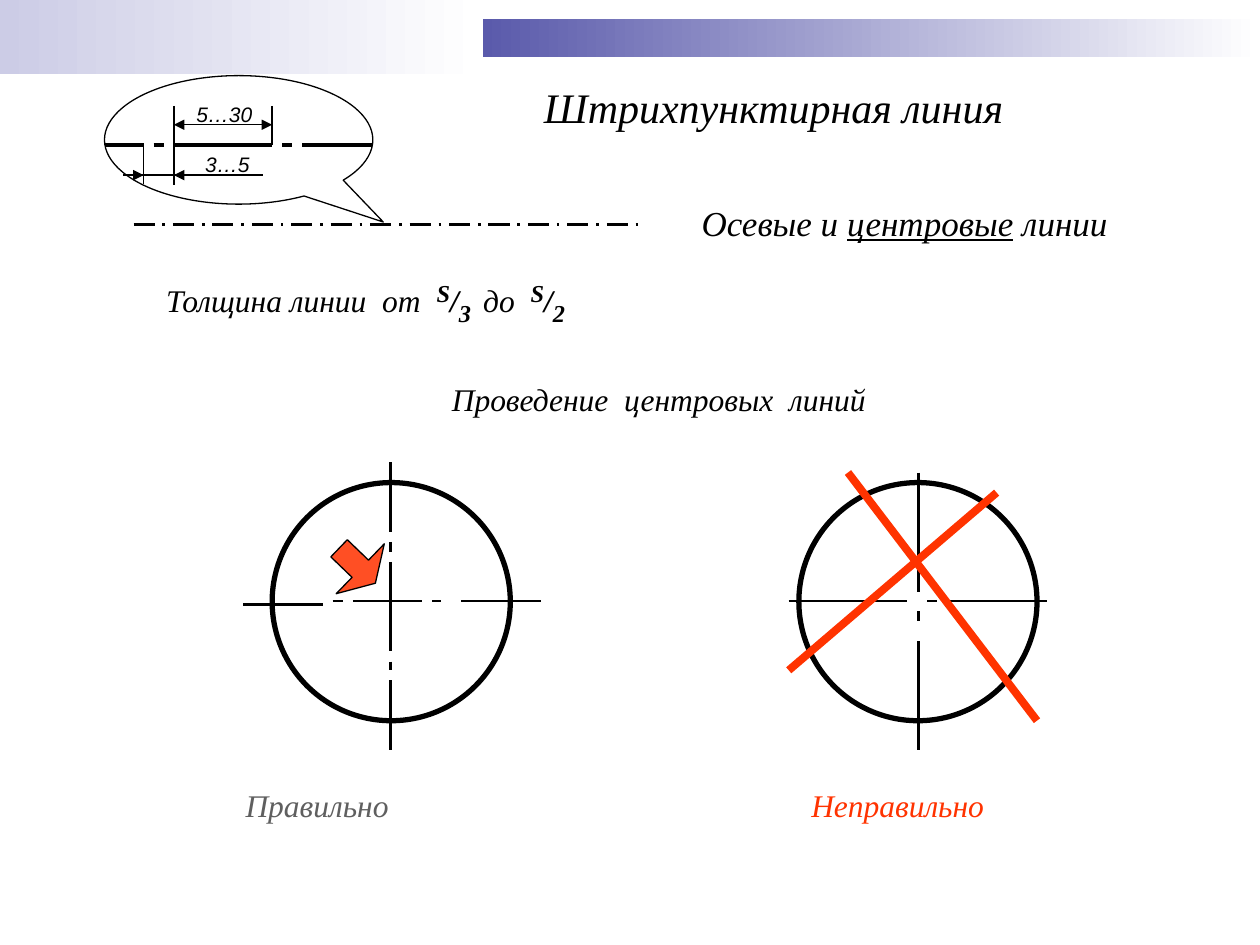
from lxml.etree import SubElement as Sub
from pptx import Presentation
from pptx.dml.color import RGBColor as RGB
from pptx.enum.dml import MSO_LINE as Dash
from pptx.enum.shapes import MSO_CONNECTOR as Conn, MSO_SHAPE as Geo
from pptx.enum.text import MSO_ANCHOR as Anchor, MSO_AUTO_SIZE as Fit, PP_ALIGN as Align
from pptx.oxml.ns import qn
from pptx.util import Inches, Pt

BLACK = RGB(0x00, 0x00, 0x00)
WHITE = RGB(0xFF, 0xFF, 0xFF)
PALE = RGB(0xCC, 0xCC, 0xE6)
BLUE = RGB(0x5A, 0x5A, 0xAB)
RED = RGB(0xFF, 0x33, 0x00)
GRAY = RGB(0x5F, 0x5F, 0x5F)
SERIF, SANS = "Times New Roman", "Arial"
THIN, AXIS, DASH, EDGE, CROSS = 0.75, 1.5, 2.25, 3, 4.5


def add_form(slide, geo, box, fill=None, width=None):
    """Preset shape with an optional plain fill and black outline."""
    form = slide.shapes.add_shape(geo, *map(Inches, box))
    form.shadow.inherit = False
    if fill is None:
        form.fill.background()
    else:
        form.fill.solid()
        form.fill.fore_color.rgb = fill
    if width is None:
        form.line.fill.background()
    else:
        form.line.color.rgb = BLACK
        form.line.width = Pt(width)
    return form


def add_fade(slide, box, start):
    """Band that fades to white from left to right."""
    fill = add_form(slide, Geo.RECTANGLE, box, WHITE).fill
    fill.gradient()
    fill.gradient_angle = 0
    for stop, color, pos in zip(fill.gradient_stops, (start, WHITE), (0, 1)):
        stop.color.rgb = color
        stop.position = pos


def add_line(slide, start, end, width, color=BLACK, ends=()):
    """Straight line; ends may name headEnd and tailEnd, in that order."""
    line = slide.shapes.add_connector(Conn.STRAIGHT, *map(Inches, (*start, *end)))
    line.line.color.rgb = color
    line.line.width = Pt(width)
    for name in ends:
        Sub(line.line._ln, qn("a:" + name), type="triangle")
    Sub(line._element.spPr, qn("a:effectLst"))
    return line


def add_row(slide, y, spans, width):
    for left, right in spans:
        add_line(slide, (left, y), (right, y), width)


def add_col(slide, x, spans, width):
    for top, low in spans:
        add_line(slide, (x, top), (x, low), width)


def put_text(box, runs, size, color=BLACK, face=SERIF, align=Align.LEFT):
    """Fill a box with italic runs: (text, extra format)."""
    frame = box.text_frame
    frame.word_wrap = True
    frame.auto_size = Fit.NONE
    frame.vertical_anchor = Anchor.TOP
    para = frame.paragraphs[0]
    para.alignment = align
    para.space_before = Pt(0)
    for text, look in runs:
        run = para.add_run()
        run.text = text
        font = run.font
        font.name, font.italic = face, True
        font.size = Pt(look.get("size", size))
        font.bold = look.get("bold", False)
        font.underline = look.get("under", False)
        font.color.rgb = color
        if "shift" in look:
            run._r.get_or_add_rPr().set("baseline", str(look["shift"] * 1000))


def add_text(slide, box, runs, size, **look):
    put_text(slide.shapes.add_textbox(*map(Inches, box)), runs, size, **look)


def add_title(slide):
    title = slide.shapes.title
    title.left, title.top, title.width, title.height = map(Inches, (3.11, 0.6, 6.06, 0.5))
    put_text(title, [("Штрихпунктирная линия", {})], 24, align=Align.CENTER)


def add_notes_on_line(slide):
    """Use of the line and its thickness."""
    add_text(slide, (5.47, 1.55, 4.17, 0.44),
             [("Осевые и ", {}), ("центровые", {"under": True}), (" линии", {})], 20)
    over = {"size": 24, "bold": True, "shift": 24}
    under = {**over, "shift": -24}
    bold = {"bold": True}
    add_text(slide, (1.22, 2.1, 4.17, 0.55),
             [("Толщина линии  от  ", {}), ("S", over), ("/", bold), ("3  ", under),
              ("до  ", {}), ("S", over), ("/", bold), ("2", under)], 18)


def add_detail(slide):
    """Enlarged view of the dashes with their sizes."""
    bubble = add_form(slide, Geo.OVAL_CALLOUT, (0.83, 0.6, 2.13, 1.02), width=THIN)
    bubble._element.spPr.get_or_add_xfrm().set("flipH", "1")
    bubble.adjustments[0], bubble.adjustments[1] = -0.539, 0.639
    add_row(slide, 1.15, [(0.83, 1.14), (1.22, 1.3), (1.38, 2.16), (2.24, 2.32), (2.4, 2.95)], DASH)
    for x, top, low in ((1.14, 1.15, 1.46), (1.38, 0.84, 1.47), (2.16, 0.84, 1.15)):
        add_col(slide, x, [(top, low)], THIN)
    # Gap size
    add_row(slide, 1.39, [(0.98, 2.09)], THIN)
    for start, end in ((1.06, 1.14), (1.77, 1.38)):
        add_line(slide, (start, 1.39), (end, 1.39), THIN, ends=["tailEnd"])
    add_text(slide, (1.53, 1.15, 0.71, 0.3), [("3…5", {})], 12, face=SANS)
    # Dash size
    add_line(slide, (1.38, 0.99), (2.16, 0.99), THIN, ends=["headEnd", "tailEnd"])
    add_text(slide, (1.46, 0.76, 0.71, 0.3), [("5…30", {})], 12, face=SANS)


def add_circle(slide, left, row, col):
    """Circle with the spans of its two centre lines."""
    size, top = 1.89, 3.83
    add_form(slide, Geo.OVAL, (left, top, size, size), WHITE, EDGE)
    add_row(slide, 4.77, row, AXIS)
    add_col(slide, round(left + size / 2, 2), col, AXIS)


def add_arrow(slide):
    arrow = add_form(slide, Geo.UP_ARROW, (2.56, 4.29, 0.55, 0.4), RED, THIN)
    arrow.rotation = 133.9
    arrow.adjustments[0], arrow.adjustments[1] = 0.343, 0.416
    tint = arrow._element.spPr.find(qn("a:solidFill"))[0]
    Sub(tint, qn("a:alpha"), val="86000")


def main():
    deck = Presentation()
    deck.slide_width, deck.slide_height = Inches(10), Inches(7.5)
    slide = deck.slides.add_slide(deck.slide_layouts[5])

    # Top bands
    add_fade(slide, (3.83, 0.15, 6.17, 0.3), BLUE)
    add_fade(slide, (0, 0, 3.83, 0.59), PALE)

    # Line type
    add_title(slide)
    sample = add_line(slide, (1.06, 1.78), (5.08, 1.78), AXIS)
    sample.line.dash_style = Dash.LONG_DASH_DOT
    add_notes_on_line(slide)
    add_detail(slide)

    # Centre lines: right and wrong
    add_text(slide, (2.63, 2.97, 5.2, 0.4), [("Проведение  центровых  линий", {})],
             18, align=Align.CENTER)
    add_circle(slide, 2.16, [(2.64, 2.72), (2.8, 3.35), (3.43, 3.5), (3.66, 4.29)],
               [(3.67, 4.22), (4.3, 4.38), (4.46, 5.17), (5.25, 5.32), (5.4, 5.95)])
    add_row(slide, 4.8, [(1.93, 2.56)], AXIS)
    add_circle(slide, 6.34, [(6.26, 7.2), (7.36, 7.44), (7.52, 8.31)],
               [(3.75, 4.7), (4.85, 4.93), (5.09, 5.95)])
    add_line(slide, (6.73, 3.75), (8.23, 5.72), CROSS, RED)
    add_line(slide, (7.91, 3.91), (6.26, 5.32), CROSS, RED)
    add_text(slide, (1.85, 6.19, 1.65, 0.4), [("Правильно", {})], 18, color=GRAY)
    add_text(slide, (6.34, 6.19, 1.89, 0.4), [("Неправильно", {})], 18, color=RED)
    add_arrow(slide)

    deck.save("out.pptx")


if __name__ == "__main__":
    main()
